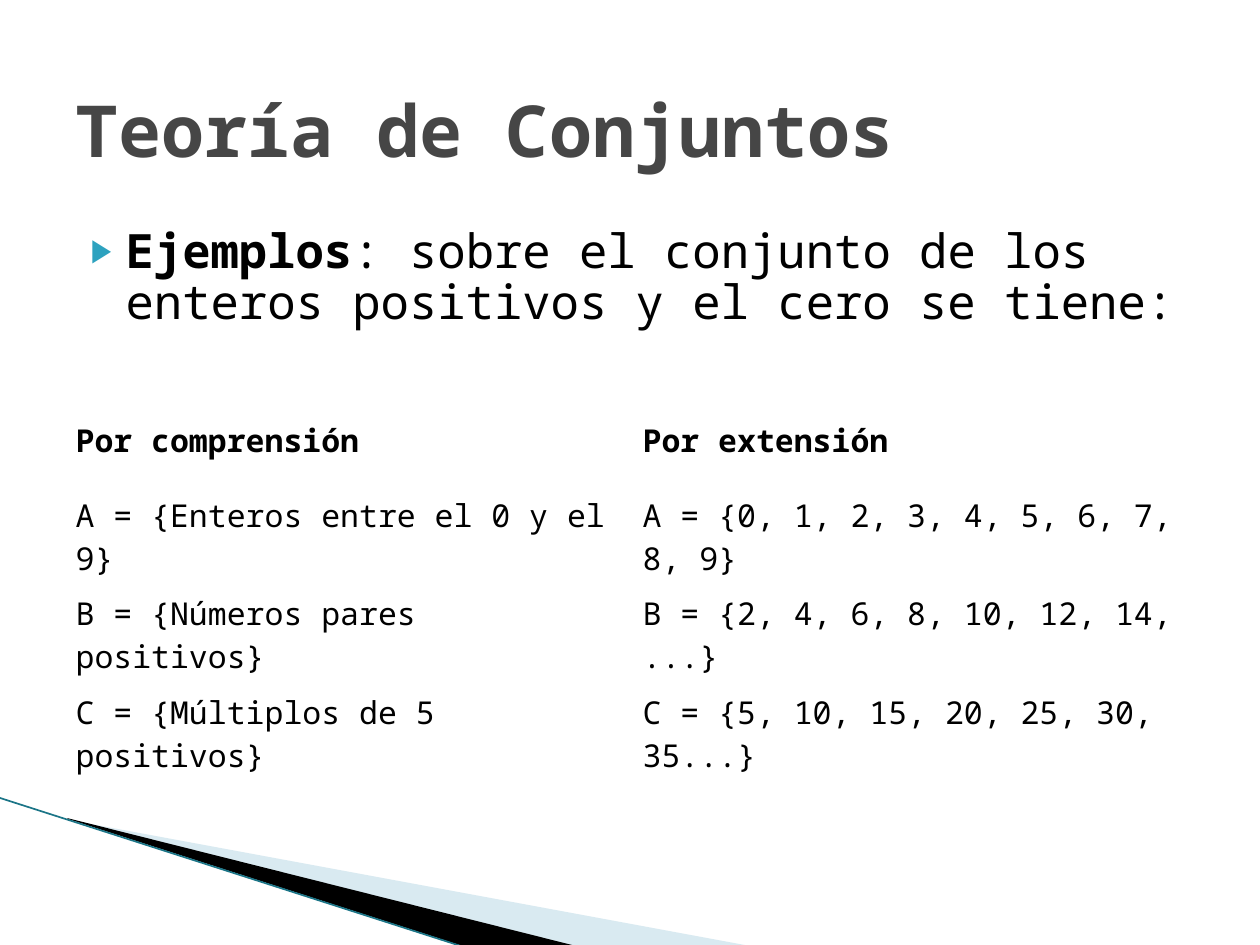
from lxml.etree import SubElement
from pptx import Presentation
from pptx.dml.color import RGBColor
from pptx.enum.text import MSO_ANCHOR as Anchor, MSO_AUTO_SIZE as AutoSize, PP_ALIGN as Align
from pptx.enum.shapes import MSO_CONNECTOR as Connector
from pptx.oxml.ns import qn
from pptx.util import Emu, Pt

SCALE = 914400 / 126
FONT = "Noto Sans Mono"
BLACK = RGBColor(0x00, 0x00, 0x00)
WHITE = RGBColor(0xFF, 0xFF, 0xFF)
GRAY = RGBColor(0x46, 0x46, 0x46)
PALE_BLUE = RGBColor(0xA0, 0xCB, 0xDC)
TEAL = RGBColor(0x1B, 0x75, 0x87)

SETS = [
    ("Por comprensión", "Por extensión"),
    ("A = {Enteros entre el 0 y el 9}", "A = {0, 1, 2, 3, 4, 5, 6, 7, 8, 9}"),
    ("B = {Números pares positivos}", "B = {2, 4, 6, 8, 10, 12, 14, ...}"),
    ("C = {Múltiplos de 5 positivos}", "C = {5, 10, 15, 20, 25, 30, 35...}"),
]


def px(length):
    """Turn pixels into EMU."""
    return Emu(round(length * SCALE))


def place(shape, box):
    """Move a shape to a box given in pixels."""
    shape.left, shape.top, shape.width, shape.height = map(px, box)


def style(para, size, color, bold=None):
    """Set the font of a whole paragraph."""
    font = para.font
    font.name, font.size, font.bold = FONT, Pt(size), bold
    font.color.rgb = color


def add_title(page, box):
    """Fill the title placeholder."""
    title = page.shapes.title
    place(title, box)
    frame = title.text_frame
    frame.auto_size, frame.vertical_anchor = AutoSize.NONE, Anchor.MIDDLE
    para = frame.paragraphs[0]
    para.text, para.alignment = "Teoría de Conjuntos", Align.LEFT
    style(para, 41, GRAY, True)


def add_body(page, box):
    """Fill the body placeholder with one bulleted paragraph."""
    body = page.placeholders[1]
    place(body, box)
    body.text_frame.auto_size = AutoSize.NONE
    para = body.text_frame.paragraphs[0]
    para.line_spacing, para.space_before = 0.9, Pt(0)
    props = para._p.get_or_add_pPr()
    props.set("marL", str(px(50)))
    props.set("indent", str(px(-35)))
    SubElement(SubElement(props, qn("a:buClr")), qn("a:srgbClr"), val="2DA2BF")
    SubElement(props, qn("a:buSzPct"), val="68000")
    SubElement(props, qn("a:buChar"), char="▶")
    style(para, 27, BLACK)
    for text, bold in (("Ejemplos", True), (": sobre el conjunto de los enteros positivos y el cero se tiene:", False)):
        span = para.add_run()
        span.text, span.font.bold = text, bold


def add_sets_table(page, box):
    """Draw the table that pairs each definition with its elements."""
    table = page.shapes.add_table(len(SETS), len(SETS[0]), *map(px, box)).table
    table.first_row = table.horz_banding = False
    for row, texts in enumerate(SETS):
        for column, text in enumerate(texts):
            cell = table.cell(row, column)
            cell.text, cell.vertical_anchor = text, Anchor.MIDDLE
            cell.fill.solid()
            cell.fill.fore_color.rgb = WHITE
            style(cell.text_frame.paragraphs[0], 18, BLACK, row == 0)


def add_wedge(page, points, color):
    """Draw a filled wedge without outline."""
    builder = page.shapes.build_freeform(*points[0], scale=SCALE)
    builder.add_line_segments(points[1:], close=True)
    wedge = builder.convert_to_shape()
    wedge.shadow.inherit = False
    wedge.fill.solid()
    wedge.fill.fore_color.rgb = color
    wedge.line.fill.background()
    return wedge


def add_corner(page, box):
    """Draw the wedges and the edge line in the lower left corner."""
    left, top, width, height = box
    bottom = top + height
    pale = add_wedge(page, [(left + 69, top + 22), (left + 750, bottom), (left + 575, bottom), (left + 69, top + 21)], PALE_BLUE)
    SubElement(pale.fill._xPr.find(".//" + qn("a:srgbClr")), qn("a:alpha"), val="40000")
    add_wedge(page, [(left + 67, top + 20), (left + 576, bottom), (left + 469, bottom + 2), (left + 68, top + 21)], BLACK)
    edge = page.shapes.add_connector(Connector.STRAIGHT, px(left), px(top), px(left + 467), px(bottom + 2))
    edge.line.color.rgb, edge.line.width = TEAL, Pt(0.95)
    SubElement(edge._element.spPr, qn("a:effectLst"))


def main():
    """Build the slide and save it."""
    deck = Presentation()
    deck.slide_width, deck.slide_height = px(1260), px(945)
    page = deck.slides.add_slide(deck.slide_layouts[1])
    add_corner(page, (0, 798, 750, 148))
    add_body(page, (63, 221, 1162, 624))
    add_title(page, (63, 37, 1134, 184))
    add_sets_table(page, (63, 393, 1134, 378))
    deck.save("out.pptx")


if __name__ == "__main__":
    main()
